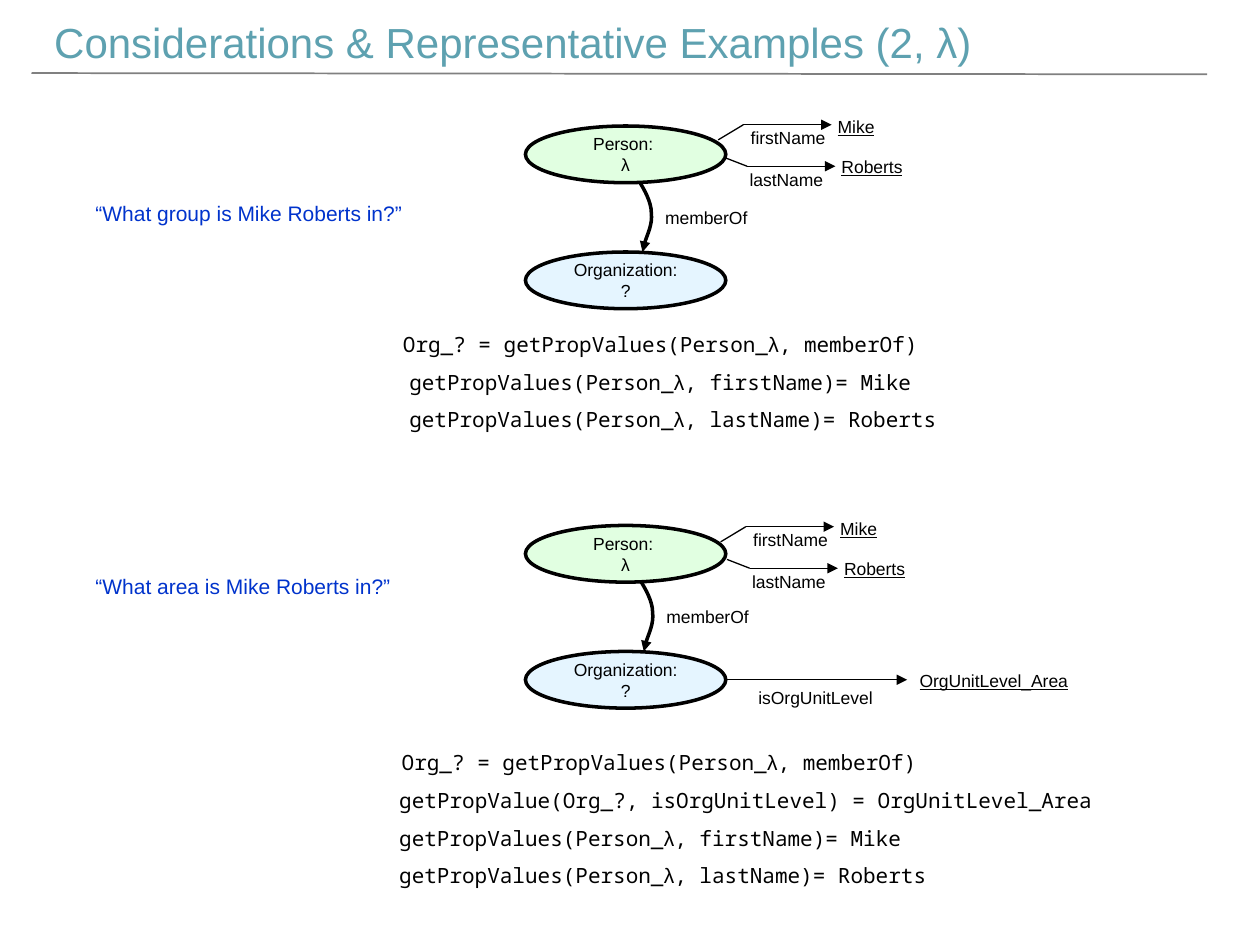
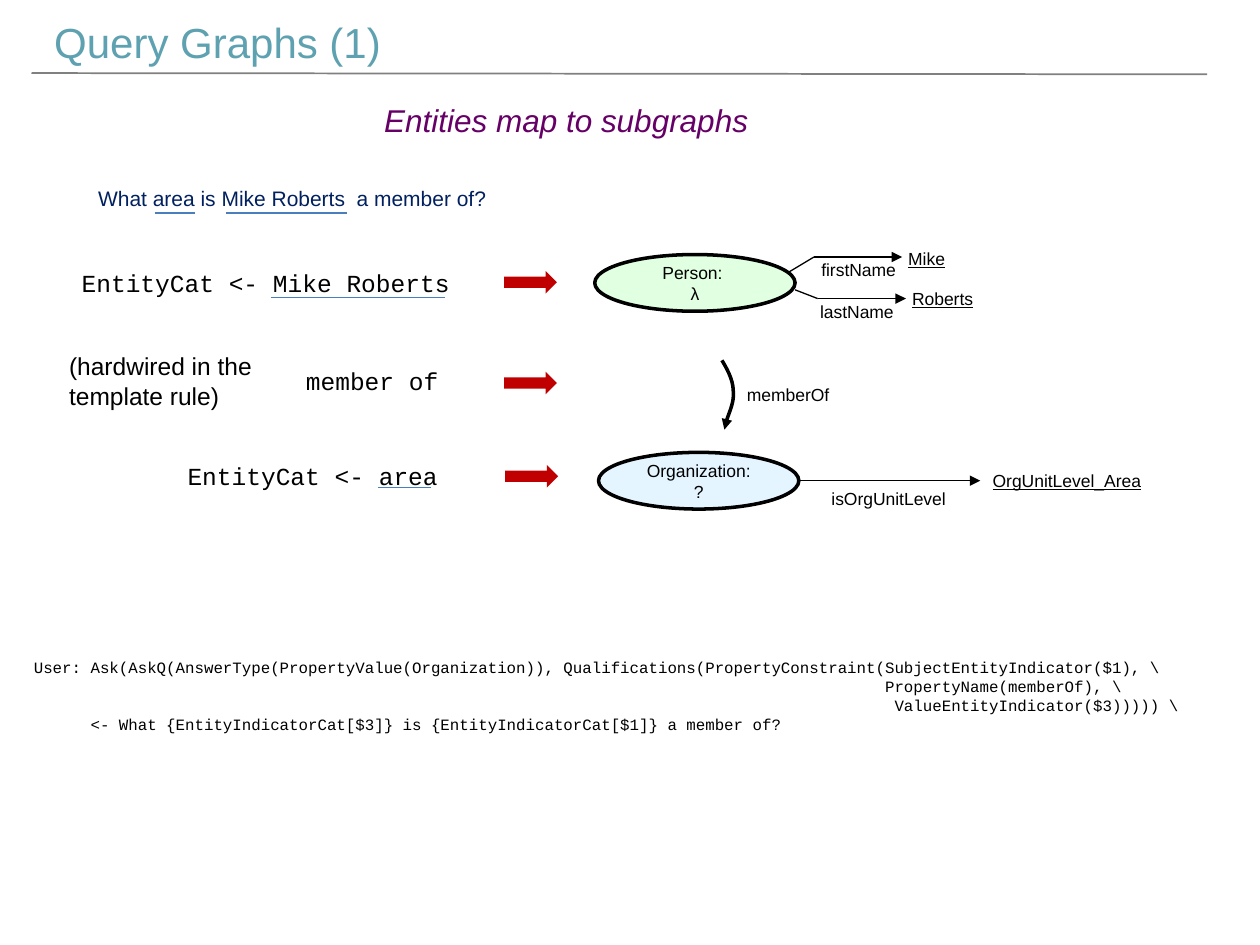
"""Build two slides on query graphs for people and organizations."""
from dataclasses import dataclass

import pptx
import pptx.dml.color
import pptx.enum.shapes
import pptx.enum.text
import pptx.oxml.ns
import pptx.util
from lxml import etree
from pptx.util import Inches

RGBColor = pptx.dml.color.RGBColor
Shape = pptx.enum.shapes.MSO_SHAPE
qn = pptx.oxml.ns.qn

BLACK = RGBColor(0x00, 0x00, 0x00)
TITLE_TEAL = RGBColor(0x5E, 0xA1, 0xB0)
RULE_GREY = RGBColor(0x80, 0x80, 0x80)
QUESTION_BLUE = RGBColor(0x00, 0x33, 0xCC)
NAVY = RGBColor(0x00, 0x20, 0x60)
PURPLE = RGBColor(0x66, 0x00, 0x66)
UNDERLINE_BLUE = RGBColor(0x4B, 0x7E, 0xBC)
ARROW_RED = RGBColor(0xC0, 0x00, 0x00)
PERSON_GREEN = RGBColor(0xE1, 0xFF, 0xE1)
ORG_BLUE = RGBColor(0xE5, 0xF5, 0xFF)

SANS = "Arial"
MONO = "Noto Sans Mono"
COURIER = "Courier New"
NODE_W, NODE_H = 1.59, 0.45
CODE_STEP = 0.3


@dataclass(frozen=True)
class Label:
    """Text with its place in inches and its style."""
    text: str
    x: float
    y: float
    w: float
    size: float = 10
    font: str = SANS
    color: RGBColor = BLACK
    italic: bool = False
    underline: bool = False
    wrap: bool = False


@dataclass(frozen=True)
class Property:
    """A name property, placed relative to the start of the first arrow."""
    name: str
    value: str
    dx: float
    dy: float
    spoke: tuple[float, float]
    name_dx: float
    name_w: float
    value_dy: float
    value_w: float


@dataclass(frozen=True)
class CodeLine:
    """A line of code with its left edge and width."""
    text: str
    x: float
    w: float


PROPERTIES = (
    Property("firstName", "Mike", 0, 0, (-0.2, 0.12), -0.04, 0.8, -0.12, 0.5),
    Property("lastName", "Roberts", 0.03, 0.33, (-0.15, 0.26), -0.08, 0.79, -0.13, 0.69),
)
ORG_CODE = "Org_? = getPropValues(Person_λ, memberOf)"
AREA_CODE = "getPropValue(Org_?, isOrgUnitLevel) = OrgUnitLevel_Area"
FIRST_CODE = "getPropValues(Person_λ, firstName)= Mike"
LAST_CODE = "getPropValues(Person_λ, lastName)= Roberts"
TEMPLATE_RULE = "\n".join((
    "User: Ask(AskQ(AnswerType(PropertyValue(Organization)), "
    "Qualifications(PropertyConstraint(SubjectEntityIndicator($1), \\",
    " " * 90 + "PropertyName(memberOf), \\",
    " " * 91 + "ValueEntityIndicator($3))))) \\",
    " " * 6 + "<- What {EntityIndicatorCat[$3]} is {EntityIndicatorCat[$1]} a member of?",
))


def add_run(p, text: str, size: float, font: str, color: RGBColor):
    """Add one styled run to a paragraph."""
    r = p.add_run()
    r.text = text
    r.font.size = pptx.util.Pt(size)
    r.font.name = font
    r.font.color.rgb = color
    return r


def add_label(slide, label: Label) -> None:
    """Draw a text box, setting λ in the sans font."""
    lines = label.text.split("\n")
    height = round(len(lines) * label.size * 1.2 / 72 + 0.1, 2)
    sp = slide.shapes.add_textbox(Inches(label.x), Inches(label.y), Inches(label.w), Inches(height))
    tf = sp.text_frame
    tf.word_wrap = label.wrap
    tf.auto_size = pptx.enum.text.MSO_AUTO_SIZE.SHAPE_TO_FIT_TEXT
    for i, line in enumerate(lines):
        p = tf.add_paragraph() if i else tf.paragraphs[0]
        for part in line.partition("λ"):
            if part:
                r = add_run(p, part, label.size, SANS if part == "λ" else label.font, label.color)
                r.font.italic = label.italic or None
                r.font.underline = label.underline or None


def add_arrowhead(sp) -> None:
    """Put a triangle at the end of a line."""
    etree.SubElement(sp._element.spPr.find(qn("a:ln")), qn("a:tailEnd"), type="triangle")


def add_line(slide, x1: float, y1: float, x2: float, y2: float, color: RGBColor = BLACK,
             width: float = 0.75, arrow: bool = False) -> None:
    """Draw a straight connector without shadow."""
    sp = slide.shapes.add_connector(pptx.enum.shapes.MSO_CONNECTOR.STRAIGHT,
                                    Inches(x1), Inches(y1), Inches(x2), Inches(y2))
    sp.line.color.rgb = color
    sp.line.width = pptx.util.Pt(width)
    if arrow:
        add_arrowhead(sp)
    etree.SubElement(sp._element.spPr, qn("a:effectLst"))


def add_node(slide, x: float, y: float, lines: tuple[str, ...], fill: RGBColor) -> None:
    """Draw an entity ellipse."""
    sp = slide.shapes.add_shape(Shape.OVAL, Inches(x), Inches(y), Inches(NODE_W), Inches(NODE_H))
    sp.shadow.inherit = False
    sp.fill.solid()
    sp.fill.fore_color.rgb = fill
    sp.line.color.rgb = BLACK
    sp.line.width = pptx.util.Pt(2)
    tf = sp.text_frame
    tf.word_wrap = True
    tf.vertical_anchor = pptx.enum.text.MSO_ANCHOR.MIDDLE
    for i, line in enumerate(lines):
        p = tf.add_paragraph() if i else tf.paragraphs[0]
        p.alignment = pptx.enum.text.PP_ALIGN.CENTER
        add_run(p, line, 10, SANS, BLACK)


def add_person(slide, x: float, y: float, arrow_x: float, arrow_y: float) -> None:
    """Draw the person node with its name properties."""
    add_node(slide, x, y, ("Person: ", "λ"), PERSON_GREEN)
    for prop in PROPERTIES:
        px, py = arrow_x + prop.dx, arrow_y + prop.dy
        add_line(slide, arrow_x + prop.spoke[0], arrow_y + prop.spoke[1], px, py)
        add_line(slide, px, py, px + 0.7, py, arrow=True)
        add_label(slide, Label(prop.name, px + prop.name_dx, py - 0.03, prop.name_w))
        add_label(slide, Label(prop.value, px + 0.65, py + prop.value_dy, prop.value_w,
                               underline=True))


def add_organization(slide, x: float, y: float, with_level: bool = True) -> None:
    """Draw the organization node and, if asked, its unit level."""
    add_node(slide, x, y, ("Organization: ?",), ORG_BLUE)
    if with_level:
        right, middle = x + NODE_W, y + NODE_H / 2
        add_line(slide, right, middle, right + 1.44, middle, arrow=True)
        add_label(slide, Label("isOrgUnitLevel", right + 0.16, middle + 0.01, 1.12))
        add_label(slide, Label("OrgUnitLevel_Area", right + 1.44, middle - 0.13, 1.39,
                               underline=True))


def add_member_of(slide, x: float, y: float) -> None:
    """Draw the curved memberOf arrow and its name."""
    offsets = ((0.03, 0.05), (0.09, 0.15), (0.09, 0.24), (0.1, 0.33), (0.02, 0.5), (0.02, 0.55))
    builder = slide.shapes.build_freeform(Inches(x), Inches(y))
    builder.add_line_segments([(Inches(x + dx), Inches(y + dy)) for dx, dy in offsets], close=False)
    sp = builder.convert_to_shape()
    outline = sp._element.find(".//" + qn("a:path"))
    segments = outline.findall(qn("a:lnTo"))
    for start in range(0, len(segments), 3):
        curve = etree.SubElement(outline, qn("a:cubicBezTo"))
        for segment in segments[start:start + 3]:
            curve.append(segment[0])
            outline.remove(segment)
    sp.shadow.inherit = False
    sp.fill.background()
    sp.line.color.rgb = BLACK
    sp.line.width = pptx.util.Pt(2)
    add_arrowhead(sp)
    add_label(slide, Label("memberOf", x + 0.1, y + 0.14, 0.86))


def add_code(slide, top: float, lines: tuple[CodeLine, ...]) -> None:
    """Draw lines of code at an equal step."""
    for i, line in enumerate(lines):
        add_label(slide, Label(line.text, line.x, top + i * CODE_STEP, line.w, 12, MONO))


def add_map_arrow(slide, x: float, y: float) -> None:
    """Draw a red block arrow."""
    sp = slide.shapes.add_shape(Shape.RIGHT_ARROW, Inches(x), Inches(y), Inches(0.42), Inches(0.18))
    sp.shadow.inherit = False
    sp.fill.solid()
    sp.fill.fore_color.rgb = ARROW_RED
    sp.line.fill.background()


def add_titled_slide(prs, title: str):
    """Add a slide with the shared title style and rule."""
    slide = prs.slides.add_slide(prs.slide_layouts[5])
    sp = slide.shapes.title
    sp.left, sp.top, sp.width, sp.height = Inches(0.33), Inches(0.08), Inches(9.2), Inches(0.5)
    tf = sp.text_frame
    tf.word_wrap = True
    tf.auto_size = pptx.enum.text.MSO_AUTO_SIZE.NONE
    tf.vertical_anchor = pptx.enum.text.MSO_ANCHOR.TOP
    p = tf.paragraphs[0]
    p.alignment = pptx.enum.text.PP_ALIGN.LEFT
    add_run(p, title, 24, SANS, TITLE_TEAL)
    add_line(slide, 0.25, 0.58, 9.58, 0.59, RULE_GREY, 1)
    return slide


def build_examples(prs) -> None:
    """Build the slide with two example questions."""
    slide = add_titled_slide(prs, "Considerations & Representative Examples (2, λ)")
    add_label(slide, Label("“What group is Mike Roberts in?”", 0.66, 1.54, 2.66, 12,
                           color=QUESTION_BLUE))
    add_person(slide, 4.17, 1, 5.9, 0.99)
    add_member_of(slide, 5.08, 1.45)
    add_organization(slide, 4.17, 2, with_level=False)
    add_code(slide, 2.58, (CodeLine(ORG_CODE, 3.1, 4.36), CodeLine(FIRST_CODE, 3.15, 4.26),
                           CodeLine(LAST_CODE, 3.15, 4.46)))

    add_label(slide, Label("“What area is Mike Roberts in?”", 0.66, 4.5, 2.57, 12,
                           color=QUESTION_BLUE))
    add_person(slide, 4.17, 4.17, 5.92, 4.18)
    add_member_of(slide, 5.09, 4.62)
    add_organization(slide, 4.17, 5.17)
    add_code(slide, 5.9, (CodeLine(ORG_CODE, 3.09, 4.36), CodeLine(AREA_CODE, 3.07, 5.79),
                          CodeLine(FIRST_CODE, 3.07, 4.26), CodeLine(LAST_CODE, 3.07, 4.46)))


def build_query_graphs(prs) -> None:
    """Build the slide that maps entities to subgraphs."""
    slide = add_titled_slide(prs, "Query Graphs (1)")
    for label in (
        Label("Entities map to subgraphs", 2.95, 0.75, 3.12, 18, color=PURPLE, italic=True),
        Label("What area is Mike Roberts  a member of?", 0.68, 1.42, 3.31, 12, color=NAVY),
        Label("EntityCat <- Mike Roberts", 0.55, 2.08, 3.14, 14, COURIER),
        Label("(hardwired in the\ntemplate rule)", 0.45, 2.74, 1.66, 14),
        Label("member of", 2.33, 2.86, 1.26, 14, COURIER),
        Label("EntityCat <- area", 1.39, 3.61, 2.2, 14, COURIER),
        Label(TEMPLATE_RULE, 0.17, 5.17, 9.79, 9, COURIER, wrap=True),
    ):
        add_label(slide, label)
    for x1, x2, y in ((1.23, 1.55, 1.69), (1.79, 2.75, 1.69), (2.15, 3.53, 2.36), (3, 3.42, 3.87)):
        add_line(slide, x1, y, x2, y, UNDERLINE_BLUE)
    for x, y in ((4, 2.15), (4, 2.95), (4.01, 3.69)):
        add_map_arrow(slide, x, y)
    add_person(slide, 4.72, 2.02, 6.46, 2.04)
    add_member_of(slide, 5.73, 2.86)
    add_organization(slide, 4.75, 3.59)


def main() -> None:
    """Build and save the presentation."""
    prs = pptx.Presentation()
    prs.slide_width, prs.slide_height = Inches(10), Inches(7.5)
    build_examples(prs)
    build_query_graphs(prs)
    prs.save("out.pptx")


if __name__ == "__main__":
    main()
